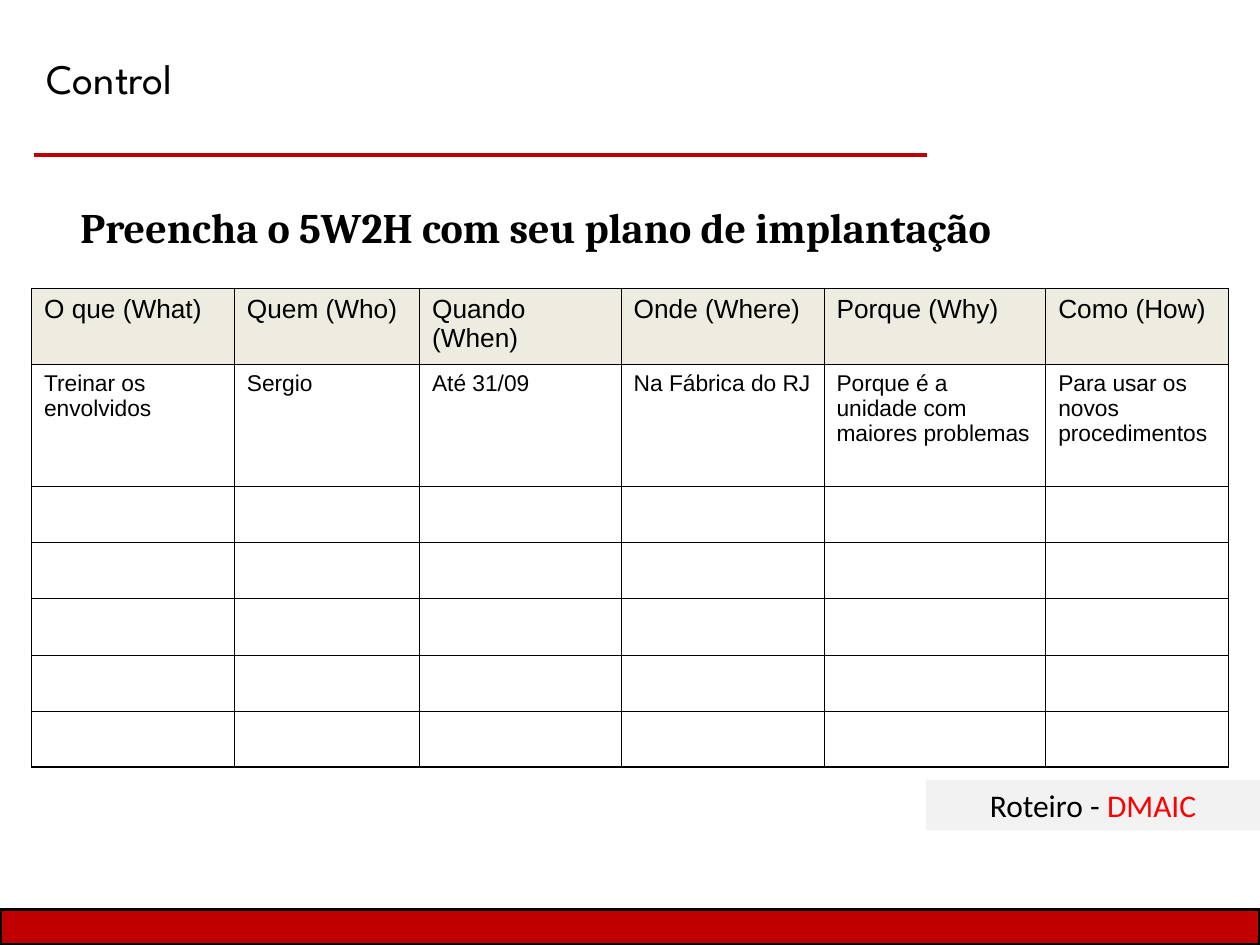
from pptx import Presentation
from pptx.dml.color import RGBColor
from pptx.enum.shapes import MSO_CONNECTOR, MSO_SHAPE
from pptx.enum.text import MSO_ANCHOR, PP_ALIGN
from pptx.oxml.ns import qn
from pptx.util import Inches, Pt
from lxml.etree import SubElement

HUE = {"red": "C00000", "black": "000000", "gray": "F2F2F2",
       "sand": "EEECE1", "accent": "FF0000"}
WIDE, HIGH = 100, 75  # grid columns and rows on the slide
UNIT = Inches(10) / WIDE
THIN, THICK = 0.45, 1.08

HEADS = ["O que (What)", "Quem (Who)", "Quando (When)",
         "Onde (Where)", "Porque (Why)", "Como (How)"]
PLAN = ["Treinar os envolvidos", "Sergio", "Até 31/09", "Na Fábrica do RJ",
        "Porque é a unidade com maiores problemas",
        "Para usar os novos procedimentos"]
COLS = [16.1, 14.7, 16, 16.1, 17.6, 14.5]
ROWS = [6, 9.7] + [4.46] * 5


def grid(*cells):
    return [round(n * UNIT) for n in cells]


def color(name):
    return RGBColor.from_string(HUE[name])


def style(para, face, size, bold=False):
    font = para.font
    font.name, font.size, font.bold = face, Pt(size), bold
    font.color.rgb = color("black")


def block(slide, box, fill):
    shape = slide.shapes.add_shape(MSO_SHAPE.RECTANGLE, *grid(*box))
    shape.shadow.inherit = False
    shape.fill.solid()
    shape.fill.fore_color.rgb = color(fill)
    shape.line.fill.background()
    return shape


def label(slide, box, text, face, bold=False, anchor=MSO_ANCHOR.TOP):
    frame = slide.shapes.add_textbox(*grid(*box)).text_frame
    frame.word_wrap = True
    frame.vertical_anchor = anchor
    para = frame.paragraphs[0]
    para.text = text
    style(para, face, 24, bold)


def header(slide, box):
    left, top, width, height = box
    base = top + height
    rule = slide.shapes.add_connector(
        MSO_CONNECTOR.STRAIGHT, *grid(left, base, left + width, base))
    rule.line.color.rgb = color("red")
    rule.line.width = Pt(2.25)
    SubElement(rule._element.spPr, qn("a:effectLst"))
    label(slide, box, "Control", "League Spartan", anchor=MSO_ANCHOR.MIDDLE)


def footer(slide, box):
    bar = block(slide, box, "red")
    bar.line.color.rgb = color("black")
    bar.line.width = Pt(2)


def tag(slide, box):
    frame = block(slide, box, "gray").text_frame
    frame.vertical_anchor = MSO_ANCHOR.TOP
    para = frame.paragraphs[0]
    para.alignment = PP_ALIGN.CENTER
    style(para, "Calibri", 18)
    para.add_run().text = "Roteiro - "
    run = para.add_run()
    run.text = "DMAIC"
    run.font.color.rgb = color("accent")


def border(cell, sides):
    props = cell._tc.get_or_add_tcPr()
    for side, width in sides.items():
        line = SubElement(props, qn(f"a:ln{side}"), w=str(int(Pt(width))))
        fill = SubElement(line, qn("a:solidFill"))
        SubElement(fill, qn("a:srgbClr"), val=HUE["black"])


def matrix(slide, box):
    table = slide.shapes.add_table(len(ROWS), len(COLS), *grid(*box)).table
    table.first_row = table.horz_banding = False
    for col, width in zip(table.columns, grid(*COLS)):
        col.width = width
    for row, height in zip(table.rows, grid(*ROWS)):
        row.height = height
    texts = [HEADS, PLAN] + [[""] * len(COLS)] * (len(ROWS) - 2)
    for r, line in enumerate(texts):
        for c, text in enumerate(line):
            cell = table.cell(r, c)
            # Outer edges are thicker than inner ones
            edges = {"L": c == 0, "R": c == len(COLS) - 1,
                     "T": r == 0, "B": r == len(ROWS) - 1}
            border(cell, {s: THICK if out else THIN
                          for s, out in edges.items()})
            if r == 0:
                cell.fill.solid()
                cell.fill.fore_color.rgb = color("sand")
            else:
                cell.fill.background()
            para = cell.text_frame.paragraphs[0]
            para.text = text
            style(para, "Arial", 13 if r else 15)


def main():
    deck = Presentation()
    deck.slide_width, deck.slide_height = grid(WIDE, HIGH)
    slide = deck.slides.add_slide(deck.slide_layouts[6])
    footer(slide, (0, HIGH - 2.8, WIDE, 2.8))
    header(slide, (2.7, 0, 70.9, 12.3))
    # Prompt above the table
    label(slide, (5.4, 15.5, 89.6, 5), "Preencha o 5W2H com seu plano de implantação",
          "Cambria", bold=True)
    tag(slide, (73.5, 61.9, 26.5, 4))
    matrix(slide, (2.5, 22.9, sum(COLS), sum(ROWS)))
    deck.save("out.pptx")


if __name__ == "__main__":
    main()
